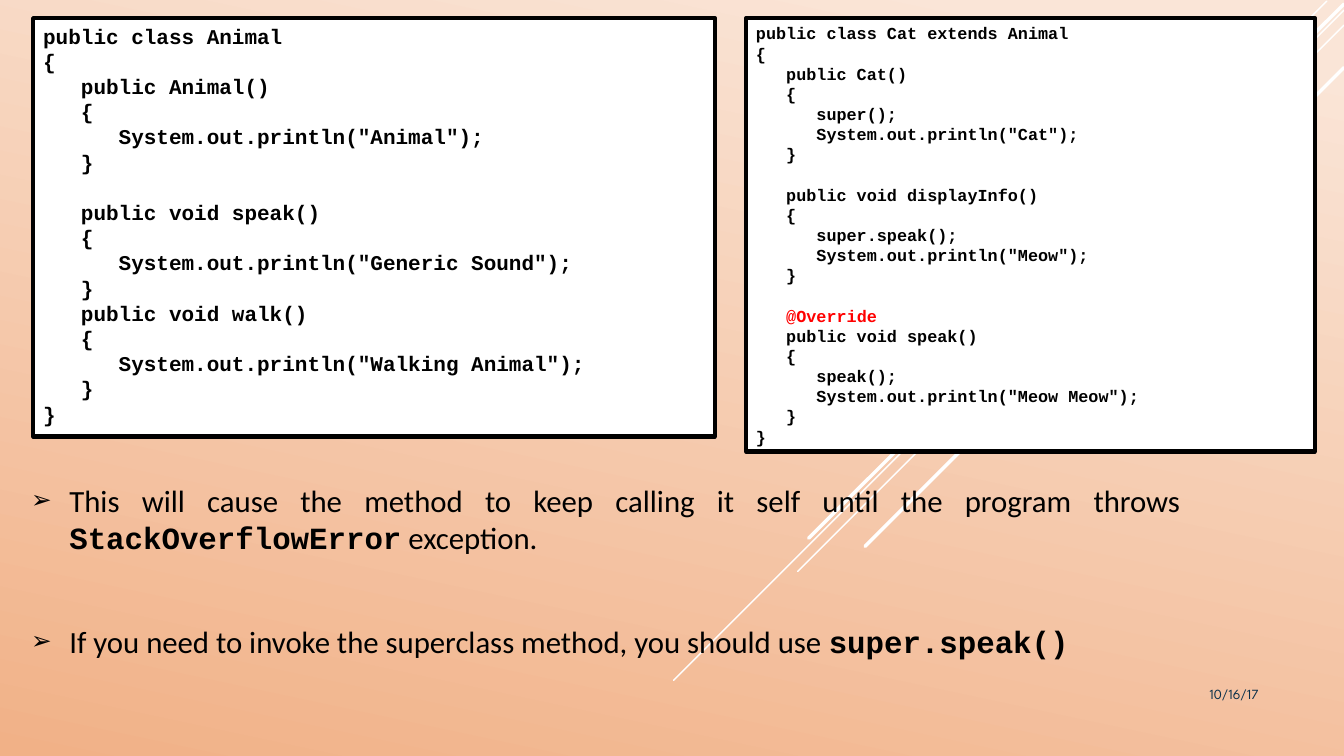
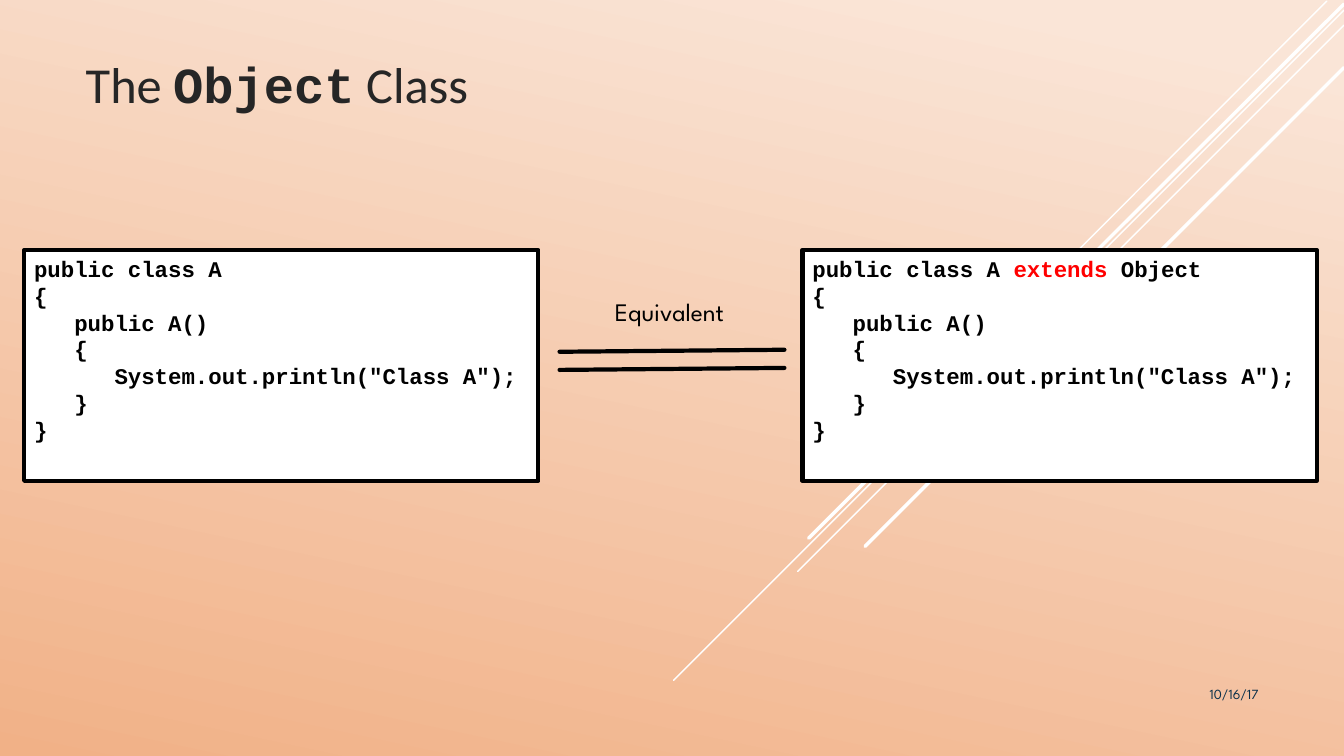
from dataclasses import dataclass

from lxml.etree import SubElement
from pptx import Presentation
from pptx.dml.color import RGBColor
from pptx.enum.shapes import MSO_CONNECTOR as Connector, MSO_SHAPE as Preset
from pptx.enum.text import MSO_ANCHOR as Anchor, PP_ALIGN as Align
from pptx.oxml.ns import qn
from pptx.util import Inches, Pt


@dataclass(frozen=True)
class Theme:
    """Colours, fonts and type sizes of the deck."""
    black: str = "000000"
    white: str = "FFFFFF"
    red: str = "FF0000"
    title: str = "262626"
    date: str = "0A304A"
    light: str = "FAE5D7"
    dark: str = "F1B187"
    body_font: str = "Calibri"
    code_font: str = "Courier New"
    label_font: str = "League Spartan"
    title_size: int = 36
    body_size: int = 22
    label_size: int = 18
    code_large: int = 16
    code_medium: int = 15
    code_small: int = 12
    date_size: int = 10
    outline: float = 3


THEME = Theme()

RAYS = [
    ((13.16, 0.01), (9, 4.18), 1),
    ((13.33, 0.1), (6.68, 6.75), 1),
    ((13.33, 0.25), (7.91, 5.67), 1),
    ((13.33, 0.04), (8.02, 5.34), 2.5),
    ((13.33, 0.67), (8.58, 5.42), 2.5),
]

ANIMAL = """public class Animal
{
   public Animal()
   {
      System.out.println("Animal");
   }

   public void speak()
   {
      System.out.println("Generic Sound");
   }
   public void walk()
   {
      System.out.println("Walking Animal");
   }
}"""

CAT = """public class Cat extends Animal
{
   public Cat()
   {
      super();
      System.out.println("Cat");
   }

   public void displayInfo()
   {
      super.speak();
      System.out.println("Meow");
   }

   @Override
   public void speak()
   {
      speak();
      System.out.println("Meow Meow");
   }
}"""

CLASS_A = """public class A{parent}
{{
   public A()
   {{
      System.out.println("Class A");
   }}
}}"""


def apply(target, **values):
    """Set each named attribute of the target."""
    for name, value in values.items():
        setattr(target, name, value)


def add_run(paragraph, text, font, size, color, bold=False):
    """Append one formatted run."""
    run = paragraph.add_run()
    run.text = text
    apply(run.font, name=font, size=Pt(size), bold=bold)
    run.font.color.rgb = RGBColor.from_string(color)


def add_mixed_runs(paragraph, parts, size, color):
    """Add parts that alternate between prose and code."""
    for index, text in enumerate(parts):
        is_code = index % 2 == 1
        font = THEME.code_font if is_code else THEME.body_font
        add_run(paragraph, text, font, size, color, is_code)


def add_line(slide, start, end, color, width):
    """Draw a straight round-ended line."""
    points = [Inches(value) for value in (*start, *end)]
    connector = slide.shapes.add_connector(Connector.STRAIGHT, *points)
    connector.line.color.rgb = RGBColor.from_string(color)
    connector.line.width = Pt(width)
    properties = connector._element.spPr
    properties.find(qn("a:ln")).set("cap", "rnd")
    SubElement(properties, qn("a:effectLst"))


def add_text_box(slide, box, wrap=True):
    """Add a text box and return its text frame."""
    frame = slide.shapes.add_textbox(*map(Inches, box)).text_frame
    frame.word_wrap = wrap
    return frame


def add_label(slide, box, text, size, color, align, wrap=True):
    """Add a single-line label."""
    paragraph = add_text_box(slide, box, wrap).paragraphs[0]
    paragraph.alignment = align
    add_run(paragraph, text, THEME.label_font, size, color)


def add_code(slide, box, code, size, highlight=None):
    """Add an outlined code panel with one word picked out in red."""
    shape = slide.shapes.add_shape(Preset.RECTANGLE, *map(Inches, box))
    shape.shadow.inherit = False
    shape.fill.solid()
    shape.fill.fore_color.rgb = RGBColor.from_string(THEME.white)
    shape.line.color.rgb = RGBColor.from_string(THEME.black)
    shape.line.width = Pt(THEME.outline)
    frame = shape.text_frame
    apply(frame, word_wrap=True, vertical_anchor=Anchor.TOP)
    for index, line in enumerate(code.split("\n")):
        paragraph = frame.add_paragraph() if index else frame.paragraphs[0]
        paragraph.alignment = Align.LEFT
        apply(paragraph.font, name=THEME.code_font, size=Pt(size))
        pieces = line.partition(highlight) if highlight else (line,)
        for piece in filter(None, pieces):
            color = THEME.red if piece == highlight else THEME.black
            add_run(paragraph, piece, THEME.code_font, size, color, True)


def add_bullets(slide, box, items, gap):
    """Add justified arrow bullets separated by a gap in points."""
    frame = add_text_box(slide, box)
    for index, parts in enumerate(items):
        paragraph = frame.add_paragraph() if index else frame.paragraphs[0]
        apply(paragraph, alignment=Align.JUSTIFY,
              space_before=Pt(gap if index else 0), space_after=Pt(6))
        properties = paragraph._p.get_or_add_pPr()
        indent = Inches(0.38)
        properties.set("marL", str(indent))
        properties.set("indent", str(-indent))
        color = SubElement(properties, qn("a:buClr"))
        SubElement(color, qn("a:srgbClr"), val=THEME.black)
        SubElement(properties, qn("a:buSzPct"), val="80000")
        SubElement(properties, qn("a:buFont"), typeface=THEME.body_font)
        SubElement(properties, qn("a:buChar"), char="➢")
        add_mixed_runs(paragraph, parts, THEME.body_size, THEME.black)


def set_title(slide, box, parts):
    """Place the title placeholder and fill it."""
    title = slide.shapes.title
    apply(title, **dict(zip(("left", "top", "width", "height"), map(Inches, box))))
    apply(title.text_frame, word_wrap=True, vertical_anchor=Anchor.BOTTOM)
    paragraph = title.text_frame.paragraphs[0]
    paragraph.alignment = Align.LEFT
    add_mixed_runs(paragraph, parts, THEME.title_size, THEME.title)


def set_background(presentation):
    """Give the master its gradient."""
    fill = presentation.slide_master.background.fill
    fill.gradient()
    fill.gradient_angle = 258
    stops = ((0.07, THEME.light), (1, THEME.dark))
    for stop, (position, color) in zip(fill.gradient_stops, stops):
        stop.position = position
        stop.color.rgb = RGBColor.from_string(color)


def add_slide(presentation, layout_name):
    """Start a slide with the shared rays and date."""
    layout = presentation.slide_layouts.get_by_name(layout_name)
    slide = presentation.slides.add_slide(layout)
    for start, end, width in RAYS:
        add_line(slide, start, end, THEME.white, width)
    add_label(slide, (10.83, 6.75, 1.75, 0.4), "10/16/17",
              THEME.date_size, THEME.date, Align.RIGHT)
    return slide


def build_override_slide(presentation):
    """Show the recursive override and its remedy."""
    slide = add_slide(presentation, "Blank")
    add_code(slide, (0.33, 0.18, 6.76, 4.15), ANIMAL, THEME.code_medium)
    add_code(slide, (7.4, 0.18, 5.64, 4.3), CAT, THEME.code_small, "@Override")
    add_bullets(slide, (0.21, 4.73, 11.6, 2.42), [
        ("This will cause the method to keep calling it self until the program throws ",
         "StackOverflowError", " exception."),
        ("If you need to invoke the superclass method, you should use ",
         "super.speak()"),
    ], gap=42)


def build_object_slide(presentation):
    """Show that every class extends Object."""
    slide = add_slide(presentation, "Title Only")
    set_title(slide, (0.75, 0.15, 10.8, 1.03), ("The ", "Object", " Class"))
    for left, parent in ((0.24, ""), (7.96, " extends Object")):
        add_code(slide, (left, 2.48, 5.1, 2.29),
                 CLASS_A.format(parent=parent), THEME.code_large, "extends")
    for top in (3.49, 3.67):
        add_line(slide, (5.55, top), (7.78, top - 0.02), THEME.black, THEME.outline)
    add_label(slide, (5.9, 2.89, 1.48, 0.4), "Equivalent",
              THEME.label_size, THEME.black, Align.CENTER, wrap=False)


def main():
    """Build and save the deck."""
    presentation = Presentation()
    apply(presentation, slide_width=Inches(13.33), slide_height=Inches(7.5))
    set_background(presentation)
    build_override_slide(presentation)
    build_object_slide(presentation)
    presentation.save("out.pptx")


main()
